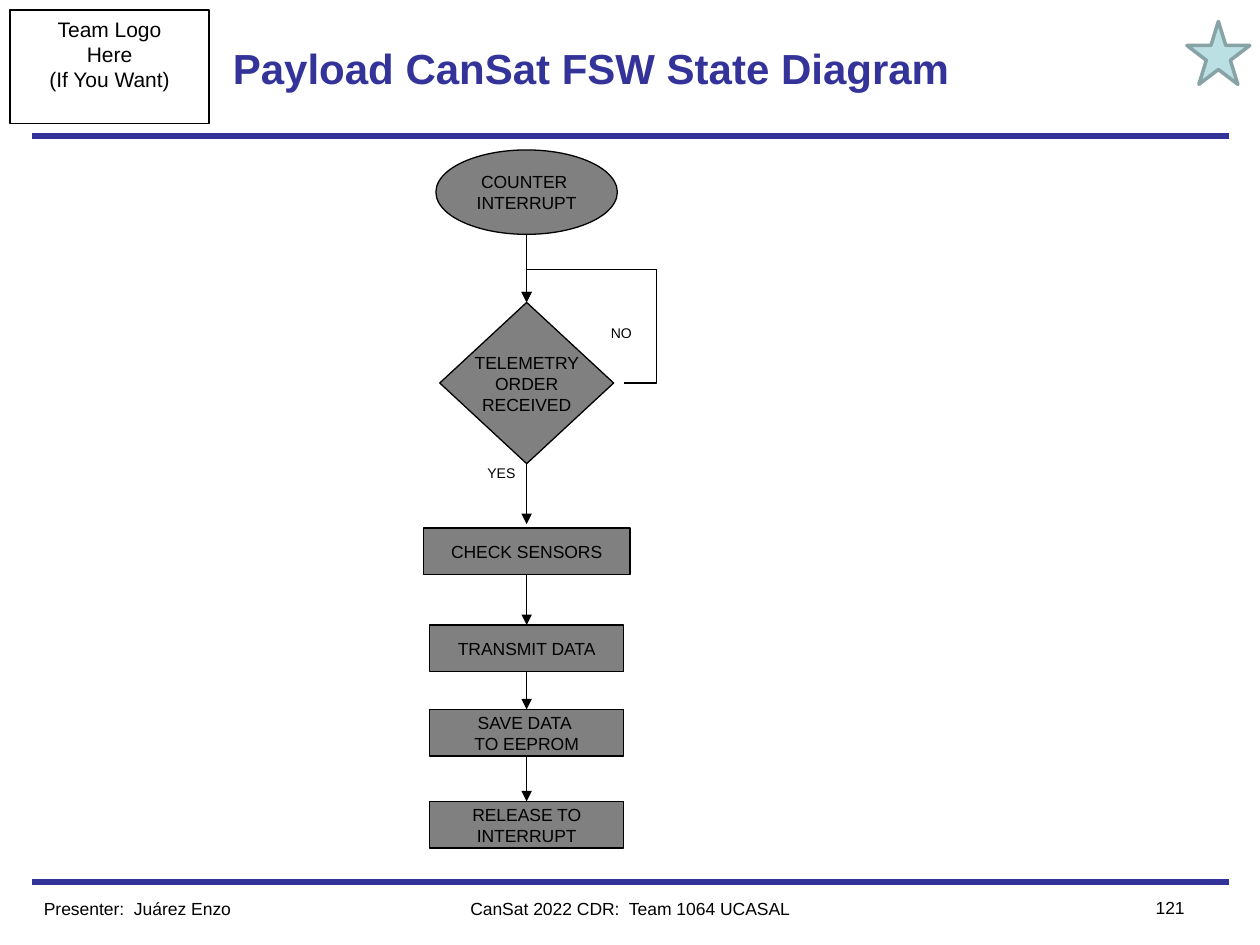
from lxml.etree import SubElement
from pptx import Presentation
from pptx.dml.color import RGBColor
from pptx.enum.shapes import MSO_CONNECTOR, MSO_SHAPE
from pptx.enum.text import MSO_ANCHOR, PP_ALIGN
from pptx.oxml.ns import qn
from pptx.util import Inches, Pt

COLORS = {
    "navy": "333399",
    "black": "000000",
    "gray": "808080",
    "aqua": "BBE0E3",
    "teal": "88A3A5",
}
FONT = "Arial"
AXIS = 4.18  # centre line of the flow
STEP_HEIGHT = 0.37


def rgb(name):
    return RGBColor.from_string(COLORS[name])


def write(shape, text, size=10, color="black", bold=False, align=PP_ALIGN.CENTER,
          anchor=MSO_ANCHOR.TOP, inset=0.05):
    """Fill a shape with text, one paragraph per line."""
    frame = shape.text_frame
    frame.word_wrap = True
    frame.vertical_anchor = anchor
    frame.margin_left = frame.margin_right = Inches(0.1)
    frame.margin_top = frame.margin_bottom = Inches(inset)
    frame.text = text
    for paragraph in frame.paragraphs:
        paragraph.alignment = align
        font = paragraph.font
        font.name, font.size, font.bold = FONT, Pt(size), bold
        font.color.rgb = rgb(color)


def add_label(slide, box, text, **text_format):
    label = slide.shapes.add_textbox(*map(Inches, box))
    write(label, text, **text_format)


def add_node(slide, kind, box, fill="gray", line="black", width=0.75):
    node = slide.shapes.add_shape(kind, *map(Inches, box))
    node.shadow.inherit = False
    if fill:
        node.fill.solid()
        node.fill.fore_color.rgb = rgb(fill)
    else:
        node.fill.background()
    node.line.color.rgb = rgb(line)
    node.line.width = Pt(width)
    return node


def add_line(slide, start, end, kind=MSO_CONNECTOR.STRAIGHT, color="black",
             width=0.75, arrow=False):
    line = slide.shapes.add_connector(kind, *map(Inches, start + end))
    line.line.color.rgb = rgb(color)
    line.line.width = Pt(width)
    if arrow:
        SubElement(line.line._get_or_add_ln(), qn("a:tailEnd"), type="triangle")
    SubElement(line._element.spPr, qn("a:effectLst"))
    return line


def add_loop(slide, start, end, bends):
    """Draw a three-bend arrow; bends are shares of its width and height."""
    loop = add_line(slide, start, end, kind=MSO_CONNECTOR.ELBOW, arrow=True)
    geometry = loop._element.spPr.find(qn("a:prstGeom"))
    geometry.set("prst", "bentConnector4")
    guides = geometry.find(qn("a:avLst"))
    for number, share in enumerate(bends, start=1):
        SubElement(guides, qn("a:gd"), name=f"adj{number}",
                   fmla=f"val {round(share * 100000)}")


def add_frame(slide):
    # Rules, logo box and star
    for y in (7, 1.08):
        add_line(slide, (0.25, y), (9.75, y), color="navy", width=3)
    logo_box = add_node(slide, MSO_SHAPE.RECTANGLE, (0.08, 0.08, 1.58, 0.9), fill=None)
    write(logo_box, "Team Logo\nHere\n(If You Want)", size=12)
    add_node(slide, MSO_SHAPE.STAR_5_POINT, (9.42, 0.17, 0.5, 0.5),
             fill="aqua", line="teal", width=2)

    # Title
    add_label(slide, (1.75, 0.08, 5.92, 0.92), "Payload CanSat FSW State Diagram",
              size=24, color="navy", bold=True, align=PP_ALIGN.LEFT,
              anchor=MSO_ANCHOR.MIDDLE)

    # Footer
    add_label(slide, (0.25, 7.08, 2.5, 0.27), "Presenter:  Juárez Enzo",
              align=PP_ALIGN.LEFT)
    add_label(slide, (3, 7.08, 4, 0.27), "CanSat 2022 CDR:  Team 1064 UCASAL")
    add_label(slide, (8.75, 7.07, 0.75, 0.27), "121", align=PP_ALIGN.RIGHT)


def add_flow(slide):
    # Start and decision
    start = add_node(slide, MSO_SHAPE.OVAL, (AXIS - 0.72, 1.19, 1.44, 0.67))
    write(start, "COUNTER \nINTERRUPT", anchor=MSO_ANCHOR.MIDDLE, inset=0.1)
    add_node(slide, MSO_SHAPE.FLOWCHART_DECISION, (AXIS - 0.69, 2.4, 1.38, 1.28))
    add_label(slide, (AXIS - 0.77, 2.69, 1.54, 0.71), "TELEMETRY ORDER\nRECEIVED",
              inset=0.1)

    # Steps
    steps = [
        ("CHECK SENSORS", 4.19, 1.64),
        ("TRANSMIT DATA", 4.96, 1.54),
        ("SAVE DATA \nTO EEPROM", 5.63, 1.54),
        ("RELEASE TO INTERRUPT", 6.36, 1.54),
    ]
    for text, top, width in steps:
        step = add_node(slide, MSO_SHAPE.FLOWCHART_PROCESS,
                        (AXIS - width / 2, top, width, STEP_HEIGHT))
        write(step, text, anchor=MSO_ANCHOR.MIDDLE, inset=0.1)

    # Arrows down the centre line
    tops = [top for _, top, _ in steps]
    spans = [(1.86, 2.4), (3.68, 4.16)]
    spans += [(top + STEP_HEIGHT, below) for top, below in zip(tops, tops[1:])]
    for upper, lower in spans:
        add_line(slide, (AXIS, upper), (AXIS, lower), arrow=True)

    # Waiting loop and branch labels
    add_loop(slide, (4.95, 3.04), (AXIS, 2.4), bends=(-0.34, 1.41))
    for text, left, top in (("NO", 4.75, 2.51), ("YES", 3.77, 3.62)):
        add_label(slide, (left, top, 0.5, 0.34), text, size=8,
                  align=PP_ALIGN.LEFT, inset=0.1)


def main():
    deck = Presentation()
    deck.slide_width, deck.slide_height = Inches(10), Inches(7.5)
    slide = deck.slides.add_slide(deck.slide_layouts[6])
    add_frame(slide)
    add_flow(slide)
    deck.save("out.pptx")


if __name__ == "__main__":
    main()
